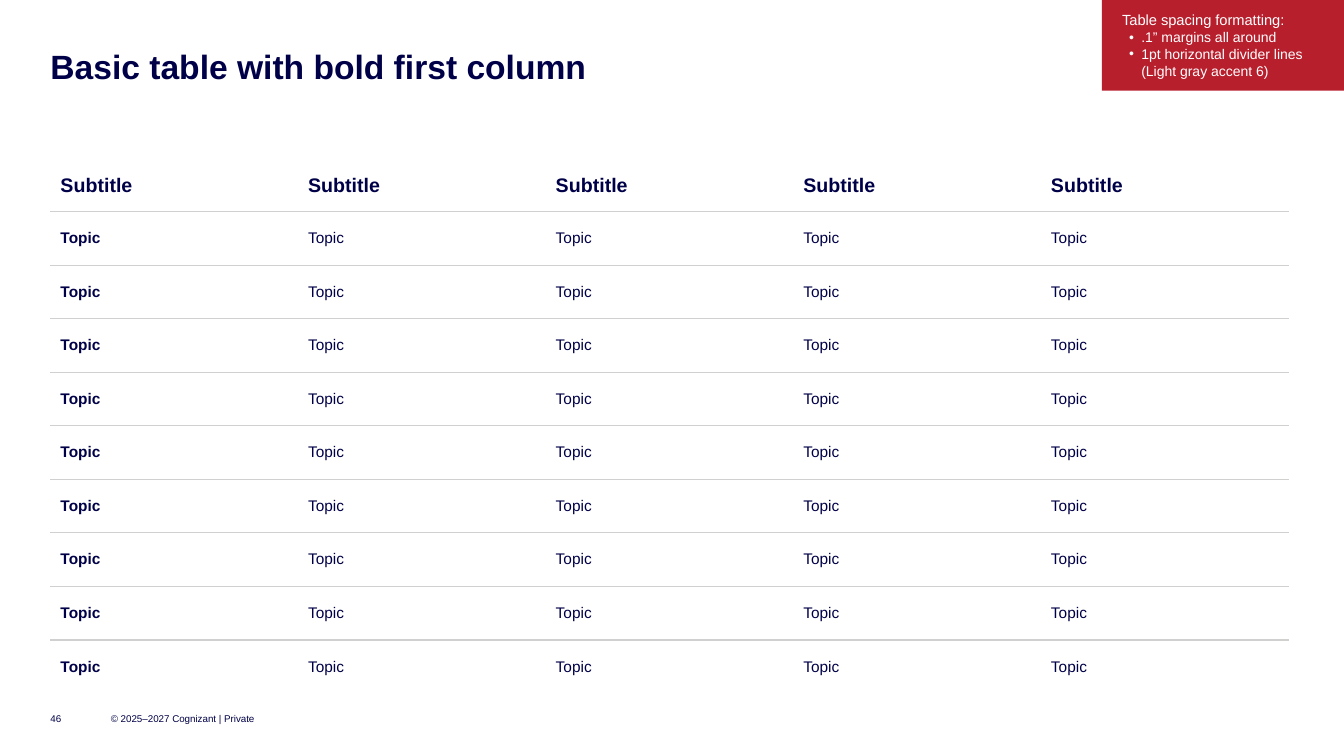
"""Build a slide with a plain five-column table whose first column is bold."""
from dataclasses import dataclass

from lxml.etree import SubElement
from pptx import Presentation
from pptx.dml.color import RGBColor
from pptx.enum.shapes import MSO_SHAPE as Shape
from pptx.enum.text import MSO_ANCHOR as Anchor, PP_ALIGN as Align
from pptx.oxml.ns import qn
from pptx.util import Emu, Pt

EMU_PER_PX = 9144
NO_STYLE = "{2D5ABB26-0587-4C30-8999-92F81FD0307C}"


@dataclass(frozen=True)
class Theme:
    font: str = "Arial"
    navy: str = "000048"
    red: str = "B81F2D"
    white: str = "FFFFFF"
    divider: str = "D0D0CE"
    title: float = 24
    header: float = 14
    body: float = 11
    note: float = 10.5
    bullet: float = 10
    footer: float = 7


@dataclass(frozen=True)
class Box:
    left: int
    top: int
    width: int
    height: int


@dataclass(frozen=True)
class Label:
    text: str
    box: Box
    size: float
    bold: bool = False
    anchor: Anchor = Anchor.MIDDLE
    spacing: float = 1.0


THEME = Theme()
LABELS = (
    Label("Basic table with bold first column", Box(50, 50, 1233, 36),
          THEME.title, True, Anchor.TOP, 0.9),
    Label("46", Box(50, 700, 40, 25), THEME.footer),
    Label("© 2025–2027 Cognizant | Private", Box(110, 700, 150, 25), THEME.footer),
)
TABLE_BOX = Box(50, 158, 1228, 530)
HEADER_HEIGHT = 52
COLUMNS = 5
BODY_ROWS = 9
NOTE_BOX = Box(1093, 0, 240, 90)
NOTE_TITLE = "Table spacing formatting:"
NOTE_BULLETS = (
    ".1” margins all around",
    "1pt horizontal divider lines (Light gray accent 6)",
)


def px(n: int) -> Emu:
    """Turn whole pixels into EMU."""
    return Emu(n * EMU_PER_PX)


def place(box: Box) -> tuple:
    """Give left, top, width and height in EMU."""
    return px(box.left), px(box.top), px(box.width), px(box.height)


def set_margins(target, side: int, end: int) -> None:
    """Set the margins of a cell or text frame."""
    target.margin_left = target.margin_right = px(side)
    target.margin_top = target.margin_bottom = px(end)


def style(p, size: float, color: str, bold: bool = False) -> None:
    """Format the runs of a paragraph."""
    p.alignment = Align.LEFT
    for r in p.runs:
        r.font.name = THEME.font
        r.font.size = Pt(size)
        r.font.bold = bold
        r.font.color.rgb = RGBColor.from_string(color)


def add_label(slide, label: Label) -> None:
    """Add a text box without margins."""
    tf = slide.shapes.add_textbox(*place(label.box)).text_frame
    tf.word_wrap = True
    tf.vertical_anchor = label.anchor
    set_margins(tf, 0, 0)
    tf.text = label.text
    p = tf.paragraphs[0]
    p.line_spacing = label.spacing
    style(p, label.size, THEME.navy, label.bold)


def add_divider(cell, side: str) -> None:
    """Add a one-point line to one side of a cell."""
    ln = SubElement(cell._tc.get_or_add_tcPr(), qn(f"a:{side}"), w=str(Pt(1)))
    fill = SubElement(ln, qn("a:solidFill"))
    SubElement(fill, qn("a:srgbClr"), val=THEME.divider)


def add_topic_table(slide) -> None:
    """Add the table with dividers between its rows."""
    frame = slide.shapes.add_table(BODY_ROWS + 1, COLUMNS, *place(TABLE_BOX))
    table = frame.table
    table._tbl.tblPr.find(qn("a:tableStyleId")).text = NO_STYLE
    table.horz_banding = False
    for column in table.columns:
        column.width = px(TABLE_BOX.width) // COLUMNS
    for i, row in enumerate(table.rows):
        is_header = i == 0
        body_height = px(TABLE_BOX.height - HEADER_HEIGHT) // BODY_ROWS
        row.height = px(HEADER_HEIGHT) if is_header else body_height
        for j, cell in enumerate(row.cells):
            cell.text = "Subtitle" if is_header else "Topic"
            cell.vertical_anchor = Anchor.MIDDLE
            set_margins(cell, 10, 10)
            if i > 0:
                add_divider(cell, "lnT")
            if i < BODY_ROWS:
                add_divider(cell, "lnB")
            cell.fill.background()
            size = THEME.header if is_header else THEME.body
            style(cell.text_frame.paragraphs[0], size, THEME.navy, is_header or j == 0)


def add_note(slide) -> None:
    """Add the red formatting note in the corner."""
    sp = slide.shapes.add_shape(Shape.RECTANGLE, *place(NOTE_BOX))
    sp.shadow.inherit = False
    sp.fill.solid()
    sp.fill.fore_color.rgb = RGBColor.from_string(THEME.red)
    sp.line.fill.background()
    tf = sp.text_frame
    tf.word_wrap = True
    tf.vertical_anchor = Anchor.MIDDLE
    set_margins(tf, 20, 10)
    tf.text = NOTE_TITLE
    style(tf.paragraphs[0], THEME.note, THEME.white)
    for text in NOTE_BULLETS:
        p = tf.add_paragraph()
        p.text = text
        pPr = p._p.get_or_add_pPr()
        pPr.set("marL", str(px(19)))
        pPr.set("indent", str(px(-12)))
        SubElement(pPr, qn("a:buFont"), typeface=THEME.font)
        SubElement(pPr, qn("a:buChar"), char="•")
        style(p, THEME.bullet, THEME.white)


def main() -> None:
    """Build and save the slide."""
    prs = Presentation()
    prs.slide_width, prs.slide_height = px(1333), px(750)
    slide = prs.slides.add_slide(prs.slide_layouts[6])
    for label in LABELS:
        add_label(slide, label)
    add_topic_table(slide)
    add_note(slide)
    prs.save("out.pptx")


if __name__ == "__main__":
    main()
